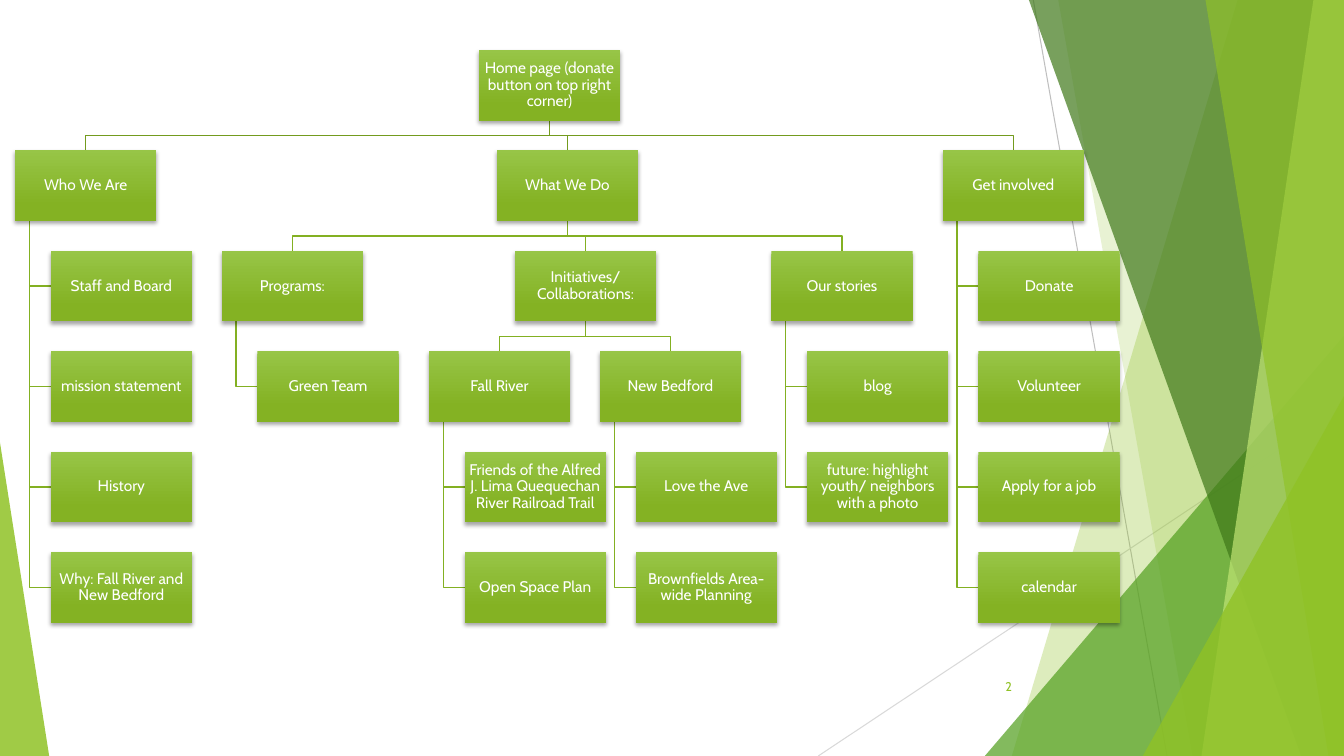
import pptx
import pptx.util
import pptx.dml.color
import pptx.enum.shapes
import pptx.enum.text
import lxml.etree
import pptx.oxml.ns

Cm, Pt = pptx.util.Cm, pptx.util.Pt
Kind = pptx.enum.shapes.MSO_SHAPE
Align = pptx.enum.text.PP_ALIGN
Anchor = pptx.enum.text.MSO_ANCHOR
qn = pptx.oxml.ns.qn

WIDE, HIGH = 33.87, 19.05
BOX_W, BOX_H, STEP, TOP = 3.56, 1.78, 2.53, 1.26
INDENT, STEM = 0.9, 0.36

deck = pptx.Presentation()
deck.slide_width, deck.slide_height = Cm(WIDE), Cm(HIGH)
slide = deck.slides.add_slide(deck.slide_layouts[6])
shapes = slide.shapes


def paint(fill, tone, alpha=100):
    """Make a fill (of a shape, line or font) solid, with opacity in percent."""
    fill.solid()
    fill.fore_color.rgb = pptx.dml.color.RGBColor.from_string(tone)
    if alpha < 100:
        color = fill._xPr.find(qn("a:solidFill"))[0]
        lxml.etree.SubElement(color, qn("a:alpha"), val=str(alpha * 1000))


def trace(points, close):
    """Draw an outline through points given in centimetres."""
    spots = [(Cm(x), Cm(y)) for x, y in points]
    pen = shapes.build_freeform(*spots[0])
    pen.add_line_segments(spots[1:], close=close)
    form = pen.convert_to_shape()
    form.shadow.inherit = False
    return form


# Backdrop
for x1, y1, x2, y2, tone in [
    (26.04, 0, 29.41, HIGH, "BFBFBF"),
    (WIDE, 10.24, 20.62, HIGH, "D9D9D9"),
]:
    ray = shapes.add_connector(
        pptx.enum.shapes.MSO_CONNECTOR.STRAIGHT, Cm(x1), Cm(y1), Cm(x2), Cm(y2))
    paint(ray.line.fill, tone)
    ray.line.width = Pt(0.75)
    lxml.etree.SubElement(ray._element.spPr, qn("a:effectLst"))

# A band gives its left edge at top and bottom; a peak its left, top, width, tip
panes = [
    ("band", (31.19, 25.5), "90C226", 30),
    ("band", (26.67, 30.05), "90C226", 20),
    ("peak", (24.82, 8.46, 9.05, 1), "54A021", 72),
    ("band", (25.93, 32.79), "3F7819", 70),
    ("band", (33.1, 30.28), "C0E474", 70),
    ("band", (30.38, 33.48), "90C226", 65),
    ("peak", (28.8, 9.98, 5.07, 1), "90C226", 80),
    ("peak", (0, 11.15, 1.24, 0), "90C226", 85),
]
for kind, place, tone, alpha in panes:
    if kind == "band":
        upper, lower = place
        pane = trace([(upper, 0), (WIDE, 0), (WIDE, HIGH), (lower, HIGH)], True)
    else:
        left, top, width, tip = place
        pane = shapes.add_shape(
            Kind.ISOSCELES_TRIANGLE, Cm(left), Cm(top), Cm(width), Cm(HIGH - top))
        pane.adjustments[0] = tip
        pane.shadow.inherit = False
    paint(pane.fill, tone, alpha)
    pane.line.fill.background()

# Page number
page = shapes.add_textbox(Cm(23.85), Cm(16.79), Cm(1.9), Cm(1.02)).text_frame
page.word_wrap = True
page.vertical_anchor = Anchor.MIDDLE
para = page.paragraphs[0]
para.text = "2"
para.alignment = Align.RIGHT
para.font.size, para.font.name = Pt(9), "Cabin"
paint(para.font.fill, "90C226")

# Site map: title, parent, left, row, pages hung below
HOME = "Home page (donate button on top right corner)"
TEAMS = "Initiatives/ Collaborations:"
tree = [
    (HOME, None, 12.07, 0, []),
    ("Who We Are", HOME, 0.38, 1,
     ["Staff and Board", "mission statement", "History",
      "Why: Fall River and New Bedford"]),
    ("What We Do", HOME, 12.52, 1, []),
    ("Programs:", "What We Do", 5.59, 2, ["Green Team"]),
    (TEAMS, "What We Do", 12.98, 2, []),
    ("Fall River", TEAMS, 10.81, 3,
     ["Friends of the Alfred J. Lima Quequechan River Railroad Trail",
      "Open Space Plan"]),
    ("New Bedford", TEAMS, 15.12, 3,
     ["Love the Ave", "Brownfields Area-wide Planning"]),
    ("Our stories", "What We Do", 19.44, 2,
     ["blog", "future: highlight youth/ neighbors with a photo"]),
    ("Get involved", HOME, 23.76, 1,
     ["Donate", "Volunteer", "Apply for a job", "calendar"]),
]

boxes, wires, lefts = [], [], {}
for title, parent, left, row, pages in tree:
    lefts[title] = left
    top = TOP + row * STEP
    boxes.append((title, left, top))
    if parent:
        start, end = lefts[parent] + BOX_W / 2, left + BOX_W / 2
        base = top - STEP + BOX_H
        mid = (base + top) / 2
        wires.append(([(start, base), (start, mid), (end, mid), (end, top)],
                      "739B1E" if parent == HOME else "83B022"))
    for i, name in enumerate(pages, 1):
        drop = top + i * STEP
        stem, side = left + STEM, left + INDENT
        boxes.append((name, side, drop))
        wires.append(([(stem, top + BOX_H), (stem, drop + BOX_H / 2),
                       (side, drop + BOX_H / 2)], "83B022"))

for points, tone in wires:
    wire = trace(points, False)
    wire.fill.background()
    paint(wire.line.fill, tone)
    wire.line.width = Pt(1)

for title, left, top in boxes:
    box = shapes.add_shape(Kind.RECTANGLE, Cm(left), Cm(top), Cm(BOX_W), Cm(BOX_H))
    box.line.fill.background()
    box.fill.gradient()
    box.fill.gradient_angle = 270
    for stop, spot, tone in zip(box.fill.gradient_stops, (0, 0.78), ("97C547", "84B223")):
        stop.position = spot
        stop.color.rgb = pptx.dml.color.RGBColor.from_string(tone)

    box.shadow.inherit = False
    glow = lxml.etree.SubElement(
        box._element.spPr.find(qn("a:effectLst")), qn("a:outerShdw"),
        blurRad=str(Pt(3)), dist=str(Pt(2)), dir="5400000", rotWithShape="0")
    black = lxml.etree.SubElement(glow, qn("a:srgbClr"), val="000000")
    lxml.etree.SubElement(black, qn("a:alpha"), val="35000")

    frame = box.text_frame
    frame.word_wrap = True
    frame.vertical_anchor = Anchor.MIDDLE
    frame.margin_left = frame.margin_right = Cm(0.02)
    frame.margin_top = frame.margin_bottom = Cm(0.02)
    para = frame.paragraphs[0]
    para.text = title
    para.alignment = Align.CENTER
    para.line_spacing, para.space_after = 0.9, Pt(3.85)
    para.font.size, para.font.name = Pt(11), "Cabin"
    paint(para.font.fill, "FFFFFF")

deck.save("out.pptx")
